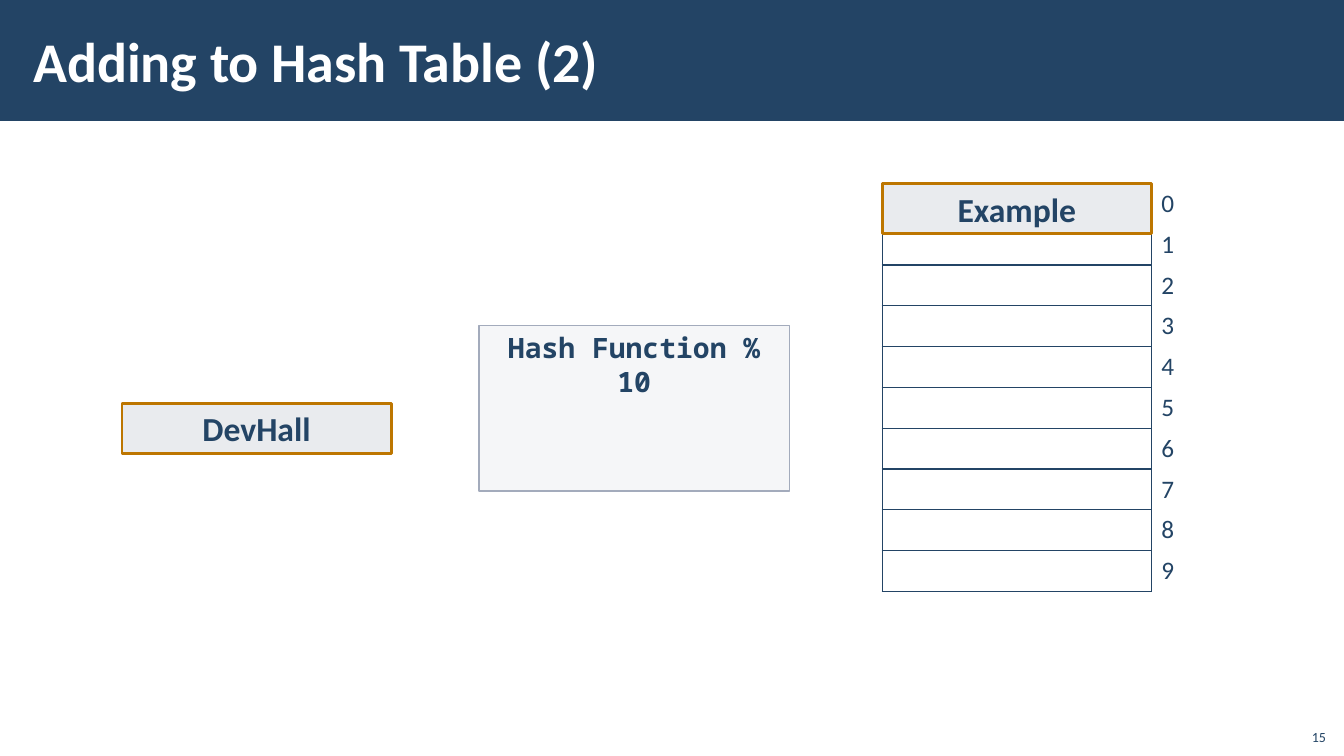
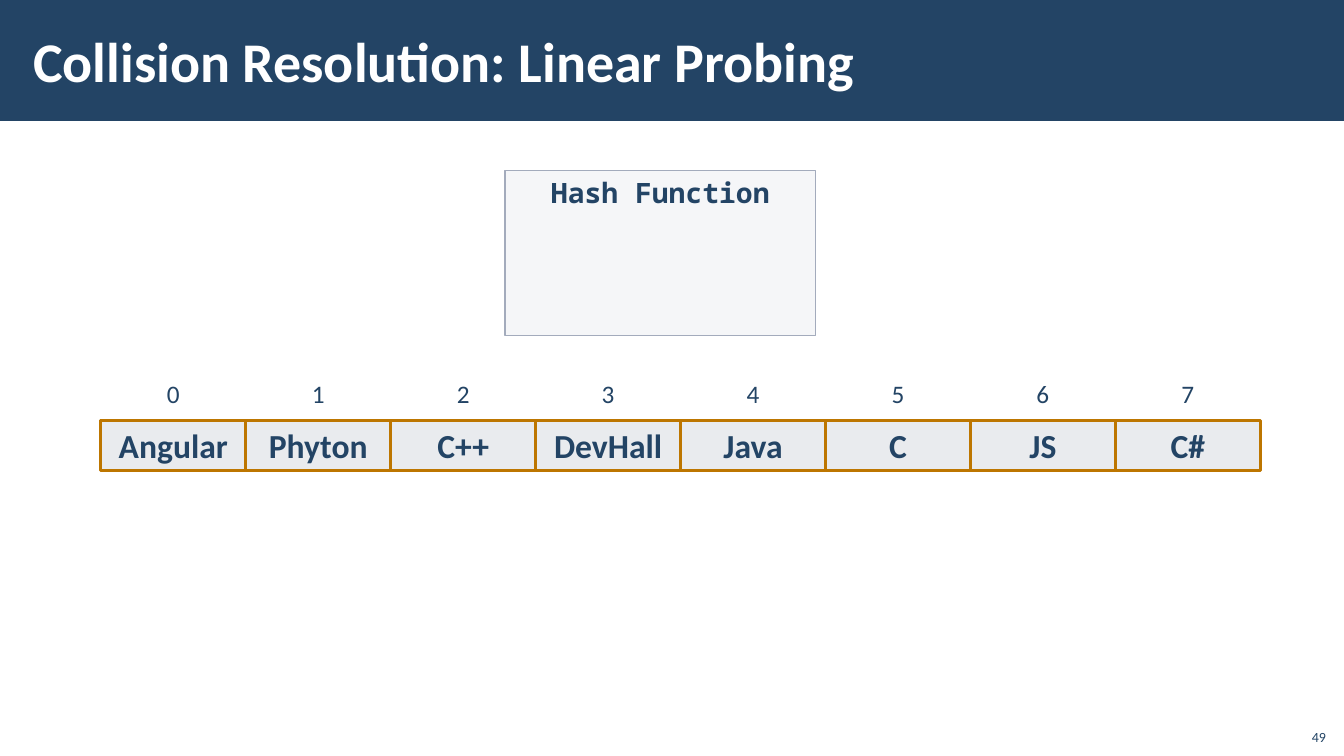
from lxml.etree import SubElement
from pptx import Presentation
from pptx.dml.color import RGBColor
from pptx.enum.shapes import MSO_SHAPE
from pptx.enum.text import MSO_ANCHOR, PP_ALIGN
from pptx.oxml.ns import qn
from pptx.util import Inches, Pt

# Colours and text formats
NAVY = RGBColor(0x23, 0x44, 0x65)
WHITE = RGBColor(0xFF, 0xFF, 0xFF)
AMBER = RGBColor(0xBD, 0x76, 0x00)
PALE = RGBColor(0xE9, 0xEB, 0xEE)
MIST = RGBColor(0xC2, 0xC7, 0xD2)
STEEL = RGBColor(0xA3, 0xAB, 0xBC)

TITLE = dict(name="Calibri", size=Pt(40), bold=True, color=WHITE)
NUMBER = dict(name="Calibri", size=Pt(10), bold=False, color=NAVY)
INDEX = dict(name="Calibri", size=Pt(18), bold=False, color=NAVY)
ENTRY = dict(name="Calibri", size=Pt(24), bold=True, color=NAVY)
CODE = dict(name="Noto Sans Mono", size=Pt(20), bold=True, color=NAVY)

# Content
BUCKETS = [str(index) for index in range(10)]
SLOTS = ["Angular", "Phyton", "C++", "DevHall", "Java", "C", "JS", "C#"]

# Geometry in inches
SLIDE_WIDTH, SLIDE_HEIGHT = 13.33, 7.5
ENTRY_HEIGHT = 0.5
BUCKET_LEFT, BUCKET_TOP, BUCKET_WIDTH = 8.75, 1.82, 2.67
BUCKET_HEIGHT, INDEX_WIDTH = 0.405, 0.56
ROW_LEFT, ROW_TOP, ROW_WIDTH = 1, 3.67, 11.5


def write(frame, text, style, align=PP_ALIGN.LEFT, anchor=MSO_ANCHOR.MIDDLE):
    frame.word_wrap = True
    frame.vertical_anchor = anchor
    para = frame.paragraphs[0]
    para.alignment = align
    span = para.add_run()
    span.text = text
    for key, value in style.items():
        if key == "color":
            span.font.color.rgb = value
        else:
            setattr(span.font, key, value)


def add_box(page, left, top, width, height, fill, line=None, weight=1,
            shape=MSO_SHAPE.RECTANGLE):
    box = page.shapes.add_shape(shape, *map(Inches, (left, top, width, height)))
    box.shadow.inherit = False
    box.fill.solid()
    box.fill.fore_color.rgb = fill
    if line is None:
        box.line.fill.background()
    else:
        box.line.color.rgb = line
        box.line.width = Pt(weight)
    return box


def add_label(page, left, top, width, height, *text_format):
    box = page.shapes.add_textbox(*map(Inches, (left, top, width, height)))
    write(box.text_frame, *text_format)
    return box


def add_page(deck, title, number):
    page = deck.slides.add_slide(deck.slide_layouts[6])
    add_box(page, 0, 0, SLIDE_WIDTH, 1.2, NAVY)
    heading = add_label(page, 0.21, 0.11, 10.63, 0.97, title, TITLE)
    heading.text_frame.margin_left = Inches(0.12)
    add_label(page, 12.85, 7.12, 0.4, 0.32, number, NUMBER,
              PP_ALIGN.RIGHT, MSO_ANCHOR.BOTTOM)
    return page


def add_entry(page, left, top, width, text):
    box = add_box(page, left, top, width, ENTRY_HEIGHT, PALE, AMBER, 2,
                  MSO_SHAPE.FLOWCHART_PROCESS)
    write(box.text_frame, text, ENTRY, PP_ALIGN.CENTER)


def add_hash_function(page, left, top, text):
    box = add_box(page, left, top, 3.08, 1.64, MIST, STEEL)
    color = box.fill._xPr.find(f"{qn('a:solidFill')}/{qn('a:srgbClr')}")
    SubElement(color, qn("a:alpha"), val="15000")
    write(box.text_frame, text, CODE, PP_ALIGN.CENTER, MSO_ANCHOR.TOP)


def add_grid(page, left, top, widths, heights):
    frame = page.shapes.add_table(
        len(heights), len(widths),
        *map(Inches, (left, top, sum(widths), sum(heights))))
    grid = frame.table
    grid.first_row = grid.horz_banding = False
    for column, width in zip(grid.columns, widths):
        column.width = Inches(width)
    for row, height in zip(grid.rows, heights):
        row.height = Inches(height)
    return grid


def format_cell(cell, edges):
    """Rule the named edges (L, R, T, B) and clear the others."""
    properties = cell._tc.get_or_add_tcPr()
    for edge in "LRTB":
        line = SubElement(properties, qn(f"a:ln{edge}"), w=str(Pt(1)))
        if edge in edges:
            fill = SubElement(line, qn("a:solidFill"))
            SubElement(fill, qn("a:srgbClr"), val=str(NAVY))
        else:
            SubElement(line, qn("a:noFill"))
    cell.fill.background()


def build_adding(deck):
    page = add_page(deck, "Adding to Hash Table (2)", "15")
    grid = add_grid(page, BUCKET_LEFT, BUCKET_TOP, [BUCKET_WIDTH, INDEX_WIDTH],
                    [BUCKET_HEIGHT] * len(BUCKETS))
    for row, index in enumerate(BUCKETS):
        format_cell(grid.cell(row, 0), "LRTB")
        format_cell(grid.cell(row, 1), "L")
        write(grid.cell(row, 1).text_frame, index, INDEX, anchor=MSO_ANCHOR.TOP)
    add_entry(page, BUCKET_LEFT, BUCKET_TOP, BUCKET_WIDTH, "Example")
    add_entry(page, 1.21, 4, BUCKET_WIDTH, "DevHall")
    add_hash_function(page, 4.75, 3.23, "Hash Function % 10")


def build_probing(deck):
    page = add_page(deck, "Collision Resolution: Linear Probing", "49")
    add_hash_function(page, 5.01, 1.69, "Hash Function")
    slot_width = ROW_WIDTH / len(SLOTS)
    grid = add_grid(page, ROW_LEFT, ROW_TOP, [slot_width] * len(SLOTS),
                    [ENTRY_HEIGHT] * 2)
    for column, text in enumerate(SLOTS):
        index_cell = grid.cell(0, column)
        format_cell(index_cell, "B")
        format_cell(grid.cell(1, column), "LRTB")
        write(index_cell.text_frame, str(column), INDEX, PP_ALIGN.CENTER)
        index_cell.vertical_anchor = MSO_ANCHOR.MIDDLE
        add_entry(page, ROW_LEFT + column * slot_width, ROW_TOP + ENTRY_HEIGHT,
                  slot_width, text)


def main():
    deck = Presentation()
    deck.slide_width = Inches(SLIDE_WIDTH)
    deck.slide_height = Inches(SLIDE_HEIGHT)
    build_adding(deck)
    build_probing(deck)
    deck.save("out.pptx")


if __name__ == "__main__":
    main()
